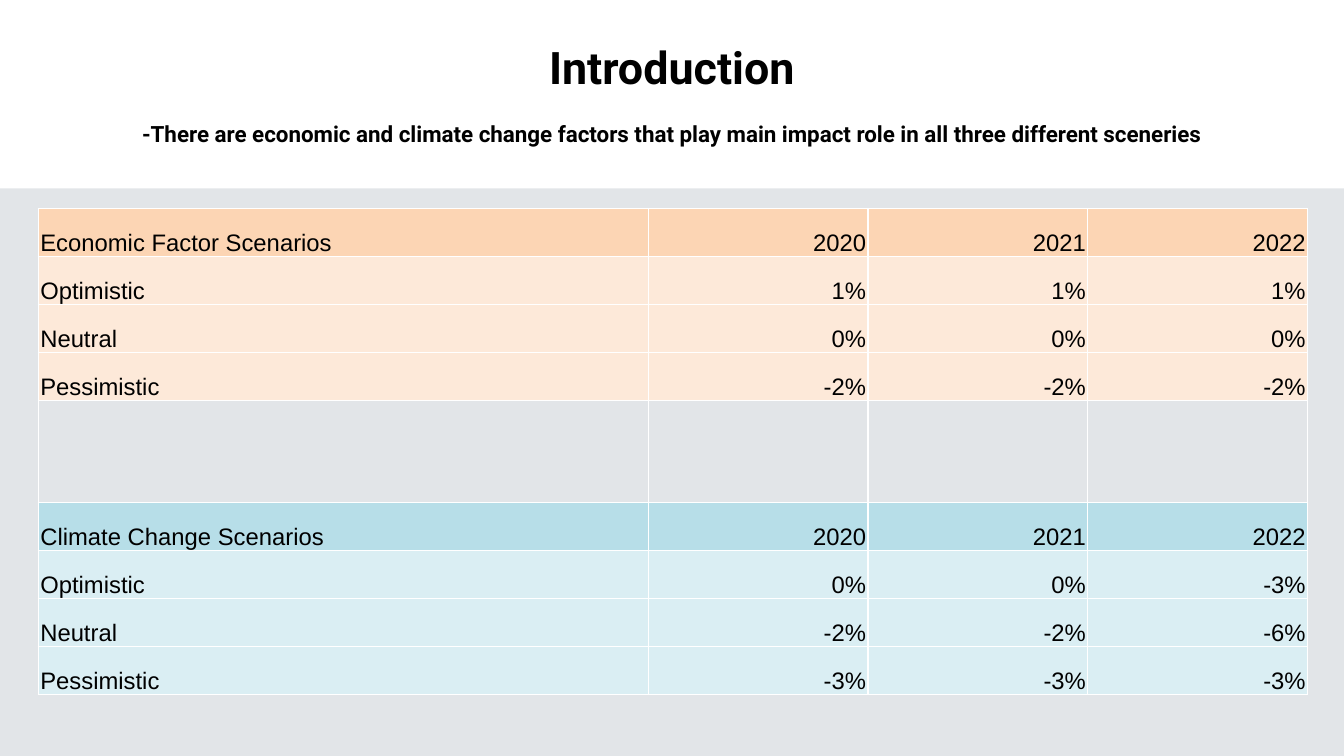
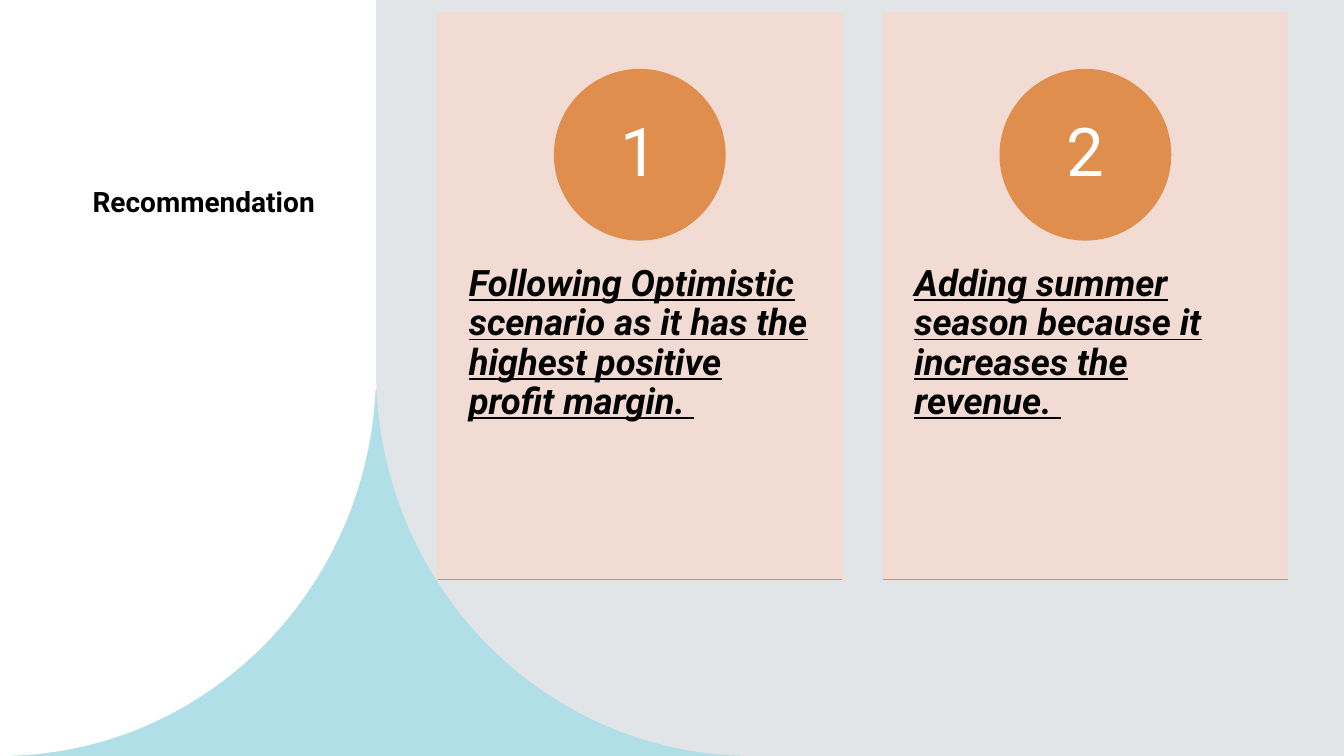
from dataclasses import dataclass
from math import cos, pi, sin

from lxml import etree
from pptx import Presentation
from pptx.dml.color import RGBColor
from pptx.enum.shapes import MSO_CONNECTOR, MSO_SHAPE
from pptx.enum.text import MSO_ANCHOR, PP_ALIGN
from pptx.oxml.ns import qn
from pptx.util import Inches, Pt

RECTANGLE = MSO_SHAPE.RECTANGLE
OVAL = MSO_SHAPE.OVAL
STRAIGHT = MSO_CONNECTOR.STRAIGHT
LEFT, CENTER, RIGHT = PP_ALIGN.LEFT, PP_ALIGN.CENTER, PP_ALIGN.RIGHT
TOP, MIDDLE, BOTTOM = MSO_ANCHOR.TOP, MSO_ANCHOR.MIDDLE, MSO_ANCHOR.BOTTOM

SLIDE_WIDTH, SLIDE_HEIGHT = 13.33, 7.5


@dataclass(frozen=True)
class Theme:
    font: str = "Roboto"
    table_font: str = "Arial"
    ink: str = "000000"
    white: str = "FFFFFF"
    panel: str = "E2E5E8"
    teal: str = "B1DFE7"
    card: str = "F3DBD0"
    accent: str = "E08E4D"
    economic: tuple = ("FCD5B4", "FDE9D9")
    climate: tuple = ("B7DEE8", "DAEEF3")
    heading_size: float = 32
    subtitle_size: float = 16
    side_title_size: float = 20
    table_size: float = 17
    body_size: float = 26
    number_size: float = 48
    card_opacity: int = 90


THEME = Theme()

SCENARIOS = [
    (THEME.economic, [
        ("Economic Factor Scenarios", "2020", "2021", "2022"),
        ("Optimistic", "1%", "1%", "1%"),
        ("Neutral", "0%", "0%", "0%"),
        ("Pessimistic", "-2%", "-2%", "-2%"),
    ]),
    (THEME.climate, [
        ("Climate Change Scenarios", "2020", "2021", "2022"),
        ("Optimistic", "0%", "0%", "-3%"),
        ("Neutral", "-2%", "-2%", "-6%"),
        ("Pessimistic", "-3%", "-3%", "-3%"),
    ]),
]

RECOMMENDATIONS = [
    "Following Optimistic scenario as it has the highest positive profit margin. ",
    "Adding summer season because it increases the revenue. ",
]


def rgb(color):
    return RGBColor.from_string(color)


class Deck:
    def __init__(self, theme):
        self.theme = theme
        self.presentation = Presentation()
        self.presentation.slide_width = Inches(SLIDE_WIDTH)
        self.presentation.slide_height = Inches(SLIDE_HEIGHT)
        self.slide = None

    def new_slide(self):
        layout = self.presentation.slide_layouts[6]
        self.slide = self.presentation.slides.add_slide(layout)
        self.slide.background.fill.solid()
        self.slide.background.fill.fore_color.rgb = rgb(self.theme.white)

    def paint(self, shape, fill, line=None, opacity=100):
        shape.shadow.inherit = False
        shape.fill.solid()
        shape.fill.fore_color.rgb = rgb(fill)
        if line:
            shape.line.color.rgb = rgb(line)
            shape.line.width = Pt(1)
        else:
            shape.line.fill.background()
        if opacity < 100:
            for color in shape._element.spPr.iter(qn("a:srgbClr")):
                etree.SubElement(color, qn("a:alpha"), val=str(opacity * 1000))

    def shape(self, kind, left, top, width, height, fill, line=None, opacity=100):
        shape = self.slide.shapes.add_shape(
            kind, Inches(left), Inches(top), Inches(width), Inches(height))
        self.paint(shape, fill, line, opacity)
        return shape

    def outline(self, points, fill):
        corners = [(Inches(x), Inches(y)) for x, y in points]
        builder = self.slide.shapes.build_freeform(*corners[0], scale=1.0)
        builder.add_line_segments(corners[1:], close=True)
        self.paint(builder.convert_to_shape(), fill)

    def rule(self, left, top, width, color):
        line = self.slide.shapes.add_connector(
            STRAIGHT, Inches(left), Inches(top), Inches(left + width), Inches(top))
        line.line.color.rgb = rgb(color)
        line.line.width = Pt(1)
        etree.SubElement(line._element.spPr, qn("a:effectLst"))

    def frame(self, text_frame, margins, anchor):
        text_frame.word_wrap = True
        text_frame.vertical_anchor = anchor
        text_frame.margin_left = text_frame.margin_right = Inches(margins[0])
        text_frame.margin_top = text_frame.margin_bottom = Inches(margins[1])

    def style(self, paragraph, size, color=None, align=LEFT, spacing=1.0,
              font=None, bold=False, emphasis=False):
        paragraph.alignment = align
        paragraph.line_spacing = spacing
        for run in paragraph.runs:
            run.font.name = font or self.theme.font
            run.font.size = Pt(size)
            run.font.color.rgb = rgb(color or self.theme.ink)
            run.font.bold = bold
            if emphasis:
                run.font.italic = run.font.underline = True

    def text(self, text, left, top, width, height, margins=(0.1, 0.05)):
        box = self.slide.shapes.add_textbox(
            Inches(left), Inches(top), Inches(width), Inches(height))
        self.frame(box.text_frame, margins, TOP)
        box.text_frame.text = text
        return box.text_frame.paragraphs

    def heading(self, title, subtitle):
        paragraphs = self.text(
            f"{title}\n{subtitle}", 0, 0.39, SLIDE_WIDTH, 1.2, (0, 0))
        sizes = (self.theme.heading_size, self.theme.subtitle_size)
        for paragraph, size in zip(paragraphs, sizes):
            self.style(paragraph, size, align=CENTER, bold=True)
        paragraphs[0].space_after = Pt(19.5)

    def scenario_table(self, groups, left, top, widths, height, gap):
        blank = [""] * len(widths)
        rows = []
        for colors, lines in groups:
            if rows:
                rows.append((None, blank))
            fills = [colors[0]] + [colors[1]] * (len(lines) - 1)
            rows.extend(zip(fills, lines))
        gaps = len(groups) - 1
        row_height = (height - gap * gaps) / (len(rows) - gaps)
        table = self.slide.shapes.add_table(
            len(rows), len(widths), Inches(left), Inches(top),
            Inches(sum(widths)), Inches(height)).table
        table.first_row = table.horz_banding = False
        for column, width in zip(table.columns, widths):
            column.width = Inches(width)
        for row, (fill, values) in zip(table.rows, rows):
            row.height = Inches(row_height if fill else gap)
            for index, (cell, value) in enumerate(zip(row.cells, values)):
                self.cell(cell, value, fill, RIGHT if index else LEFT)

    def cell(self, cell, value, fill, align):
        if not fill:
            cell.fill.background()
            return
        cell.fill.solid()
        cell.fill.fore_color.rgb = rgb(fill)
        cell.vertical_anchor = BOTTOM
        cell.margin_left = cell.margin_right = cell.margin_top = Inches(0.02)
        cell.margin_bottom = 0
        cell.text_frame.text = value
        self.style(cell.text_frame.paragraphs[0], self.theme.table_size,
                   align=align, font=self.theme.table_font)

    def curved_panel(self, center, edge, outer, fill):
        curve_top, steps = 3.68, 60
        points = []
        for step in range(steps + 1):
            angle = pi / 2 * step / steps
            points.append((center + (edge - center) * cos(angle),
                           curve_top + (SLIDE_HEIGHT - curve_top) * sin(angle)))
        points += [(outer, SLIDE_HEIGHT), (outer, 0), (edge, 0)]
        self.outline(points, fill)

    def card(self, number, text, left):
        theme = self.theme
        top, width, height, diameter = 0.13, 4.01, 5.62, 1.69
        self.shape(RECTANGLE, left, top, width, height, theme.card,
                   theme.card, theme.card_opacity)
        body = self.text(text, left, 2.27, width, 3.37, (0.31, 0.36))[0]
        self.style(body, theme.body_size, spacing=0.9, bold=True, emphasis=True)
        badge = self.shape(OVAL, left + (width - diameter) / 2, 0.69,
                           diameter, diameter, theme.accent, theme.accent)
        self.frame(badge.text_frame, (0.13, 0.01), MIDDLE)
        badge.text_frame.text = str(number)
        self.style(badge.text_frame.paragraphs[0], theme.number_size,
                   theme.white, CENTER, 0.9)
        self.rule(left, top + height, width, theme.accent)


def introduction(deck):
    deck.new_slide()
    deck.heading(
        "Introduction",
        "-There are economic and climate change factors that play main impact "
        "role in all three different sceneries")
    band_top = 1.87
    deck.shape(RECTANGLE, 0, band_top, SLIDE_WIDTH, SLIDE_HEIGHT - band_top,
               deck.theme.panel)
    deck.scenario_table(SCENARIOS, 0.38, 2.07, [6.05] + [2.18] * 3, 4.82, 1.01)


def recommendation(deck):
    theme = deck.theme
    deck.new_slide()
    deck.shape(RECTANGLE, 0, 3.86, 7.37, 3.64, theme.teal)
    edge = 3.73
    deck.curved_panel(0, edge, 0, theme.white)
    title = deck.text("Recommendation", 0.82, 1.75, 2.63, 2.73)[0]
    deck.style(title, theme.side_title_size, spacing=1.1, bold=True)
    deck.curved_panel(2 * edge, edge, SLIDE_WIDTH, theme.panel)
    for index, text in enumerate(RECOMMENDATIONS):
        deck.card(index + 1, text, 4.34 + 4.42 * index)


def main():
    deck = Deck(THEME)
    introduction(deck)
    recommendation(deck)
    deck.presentation.save("out.pptx")


if __name__ == "__main__":
    main()
